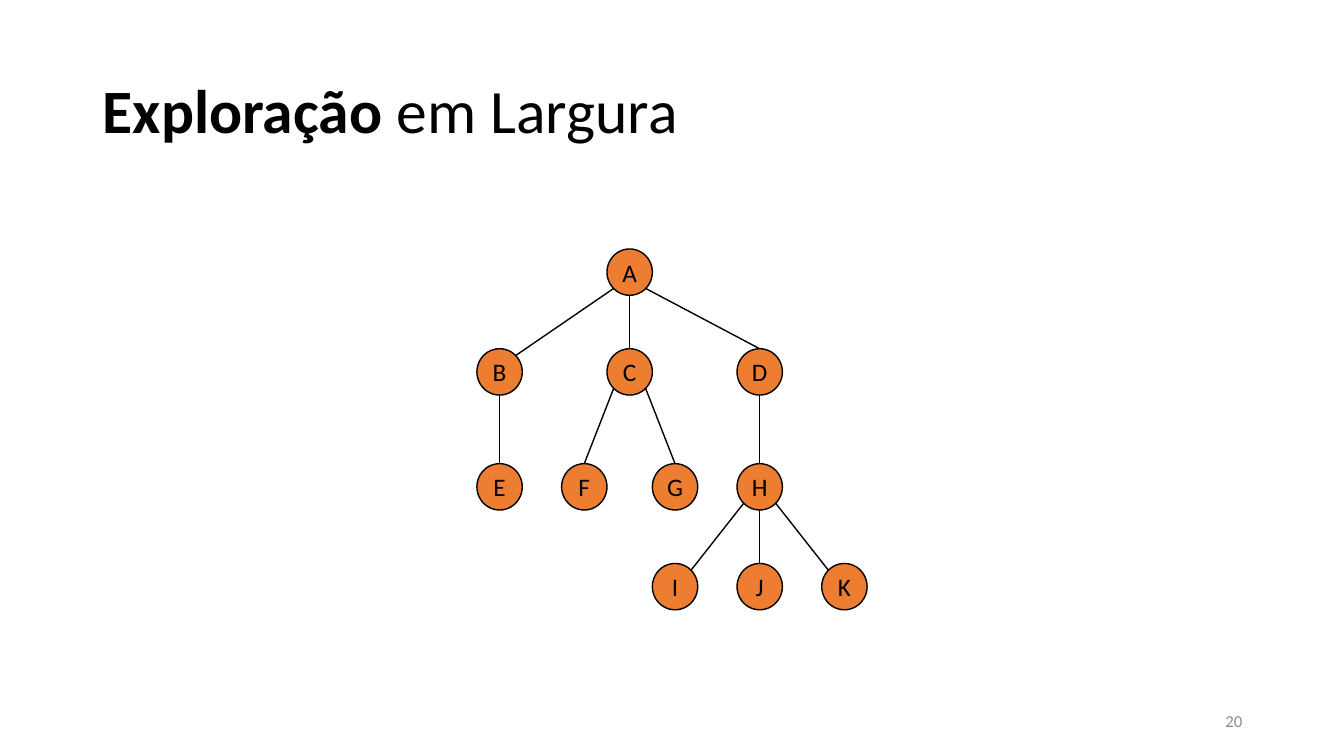
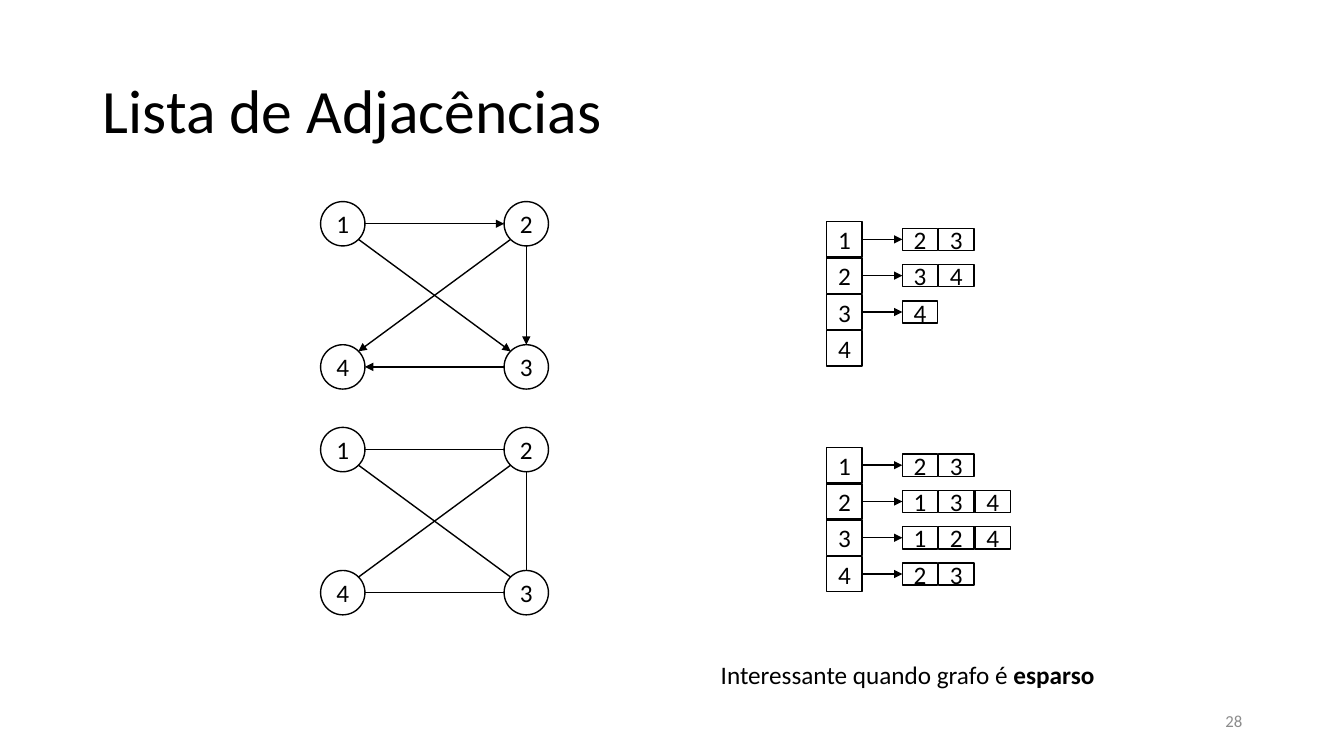
from lxml import etree
from pptx import Presentation
from pptx.dml.color import RGBColor
from pptx.enum.shapes import MSO_CONNECTOR, MSO_SHAPE
from pptx.enum.text import MSO_ANCHOR, PP_ALIGN
from pptx.oxml.ns import qn
from pptx.util import Inches, Pt

OVAL, RECT, STRAIGHT = MSO_SHAPE.OVAL, MSO_SHAPE.RECTANGLE, MSO_CONNECTOR.STRAIGHT
LEFT, MID, RIGHT = PP_ALIGN.LEFT, PP_ALIGN.CENTER, PP_ALIGN.RIGHT
TOP, CENTER = MSO_ANCHOR.TOP, MSO_ANCHOR.MIDDLE

FONT = "Calibri"
COLORS = {"ink": "000000", "paper": "FFFFFF", "node": "ED7D31", "page": "8C8C8C"}

# Points of a shape where lines attach, as shares of its width and height
SITES = {
    "n": (0.5, 0), "e": (1, 0.5), "s": (0.5, 1), "w": (0, 0.5),
    "nw": (0.15, 0.15), "ne": (0.85, 0.15), "sw": (0.15, 0.85), "se": (0.85, 0.85),
}


def write(shape, text, size=18, color="ink", align=MID, anchor=CENTER,
          fill=None, wrap=False, space=None):
    """Set a shape's text, with **bold** parts; a fill also adds the outline."""
    frame = shape.text_frame
    frame.word_wrap, frame.vertical_anchor = wrap, anchor
    if fill:
        shape.shadow.inherit = False
        shape.fill.solid()
        shape.fill.fore_color.rgb = RGBColor.from_string(COLORS[fill])
        shape.line.color.rgb = RGBColor.from_string(COLORS["ink"])
        shape.line.width = Pt(1)
        frame.margin_left = frame.margin_right = 0
        frame.margin_top = frame.margin_bottom = 0
    para = frame.paragraphs[0]
    para.alignment, para.line_spacing = align, space
    for i, part in enumerate(text.split("**")):
        if part:
            run = para.add_run()
            run.text = part
            run.font.name, run.font.size = FONT, Pt(size)
            run.font.bold = i % 2 == 1
            run.font.color.rgb = RGBColor.from_string(COLORS[color])


def link(slide, start, out, end, into, arrow=False):
    """Draw a line from one shape's site to another's."""
    ends = []
    for shape, site in ((start, out), (end, into)):
        x, y = SITES[site]
        ends += [int(shape.left + x * shape.width), int(shape.top + y * shape.height)]
    line = slide.shapes.add_connector(STRAIGHT, *ends)
    line.line.color.rgb = RGBColor.from_string(COLORS["ink"])
    line.line.width = Pt(1)
    if arrow:
        etree.SubElement(line.line._get_or_add_ln(), qn("a:tailEnd"), type="triangle")
    etree.SubElement(line._element.spPr, qn("a:effectLst"))


prs = Presentation()
prs.slide_width, prs.slide_height = Inches(13.33), Inches(7.5)

# Shared title and page number
slides = []
for title, page in (("**Exploração** em Largura", "20"), ("Lista de Adjacências", "28")):
    slide = prs.slides.add_slide(prs.slide_layouts[5])
    head = slide.shapes.title
    head.left, head.top = Inches(0.92), Inches(0.4)
    head.width, head.height = Inches(11.5), Inches(1.45)
    write(head, title, size=44, align=LEFT, wrap=True, space=0.9)
    foot = slide.shapes.add_textbox(Inches(9.42), Inches(6.95), Inches(3), Inches(0.4))
    write(foot, page, size=12, color="page", align=RIGHT, wrap=True)
    slides.append(slide)
tree, lists = slides

# Breadth-first tree: each level has a top and the left of every node
LEVELS = [
    (2.47, {"A": 6.02}),
    (3.46, {"B": 4.73, "C": 6.02, "D": 7.31}),
    (4.6, {"E": 4.73, "F": 5.57, "G": 6.47, "H": 7.31}),
    (5.59, {"I": 6.47, "J": 7.31, "K": 8.15}),
]
BRANCHES = [
    ("A", "sw", "B", "ne"), ("A", "s", "C", "n"), ("A", "se", "D", "n"),
    ("B", "s", "E", "n"), ("C", "sw", "F", "n"), ("C", "se", "G", "n"),
    ("D", "s", "H", "n"), ("H", "sw", "I", "ne"), ("H", "s", "J", "n"),
    ("H", "se", "K", "nw"),
]
nodes = {}
for top, level in LEVELS:
    for name, left in level.items():
        nodes[name] = tree.shapes.add_shape(
            OVAL, Inches(left), Inches(top), Inches(0.45), Inches(0.46))
        write(nodes[name], name, fill="node")
for start, out, end, into in BRANCHES:
    link(tree, nodes[start], out, nodes[end], into)

# Directed graph above, undirected graph below, each beside its lists
CORNERS = {"1": (3.18, 2), "2": (5, 2), "3": (5, 3.42), "4": (3.18, 3.42)}
EDGES = [
    ("1", "e", "2", "w"), ("2", "s", "3", "n"), ("2", "sw", "4", "ne"),
    ("1", "se", "3", "nw"), ("3", "w", "4", "e"),
]
GRAPHS = [(0, True, ["23", "34", "4", ""]), (2.24, False, ["23", "134", "124", "23"])]
STEP, CELL, LOW = 0.36, 0.35, 0.22

for shift, arrow, rows in GRAPHS:
    nodes = {}
    for name, (left, top) in CORNERS.items():
        nodes[name] = lists.shapes.add_shape(
            OVAL, Inches(left), Inches(top + shift), Inches(0.44), Inches(0.44))
        write(nodes[name], name, fill="paper")
    for start, out, end, into in EDGES:
        link(lists, nodes[start], out, nodes[end], into, arrow)

    for i, row in enumerate(rows):
        top = 2.2 + shift + i * STEP
        index = lists.shapes.add_shape(
            RECT, Inches(8.2), Inches(top), Inches(CELL), Inches(CELL))
        write(index, str(i + 1), fill="paper")
        for j, name in enumerate(row):
            cell = lists.shapes.add_shape(
                RECT, Inches(8.95 + j * STEP), Inches(top + (CELL - LOW) / 2),
                Inches(CELL), Inches(LOW))
            write(cell, name, fill="paper")
            if j == 0:
                link(lists, index, "e", cell, "w", arrow=True)

note = lists.shapes.add_textbox(Inches(7.05), Inches(6.49), Inches(3.93), Inches(0.4))
write(note, "Interessante quando grafo é **esparso**", align=LEFT, anchor=TOP)

prs.save("out.pptx")
